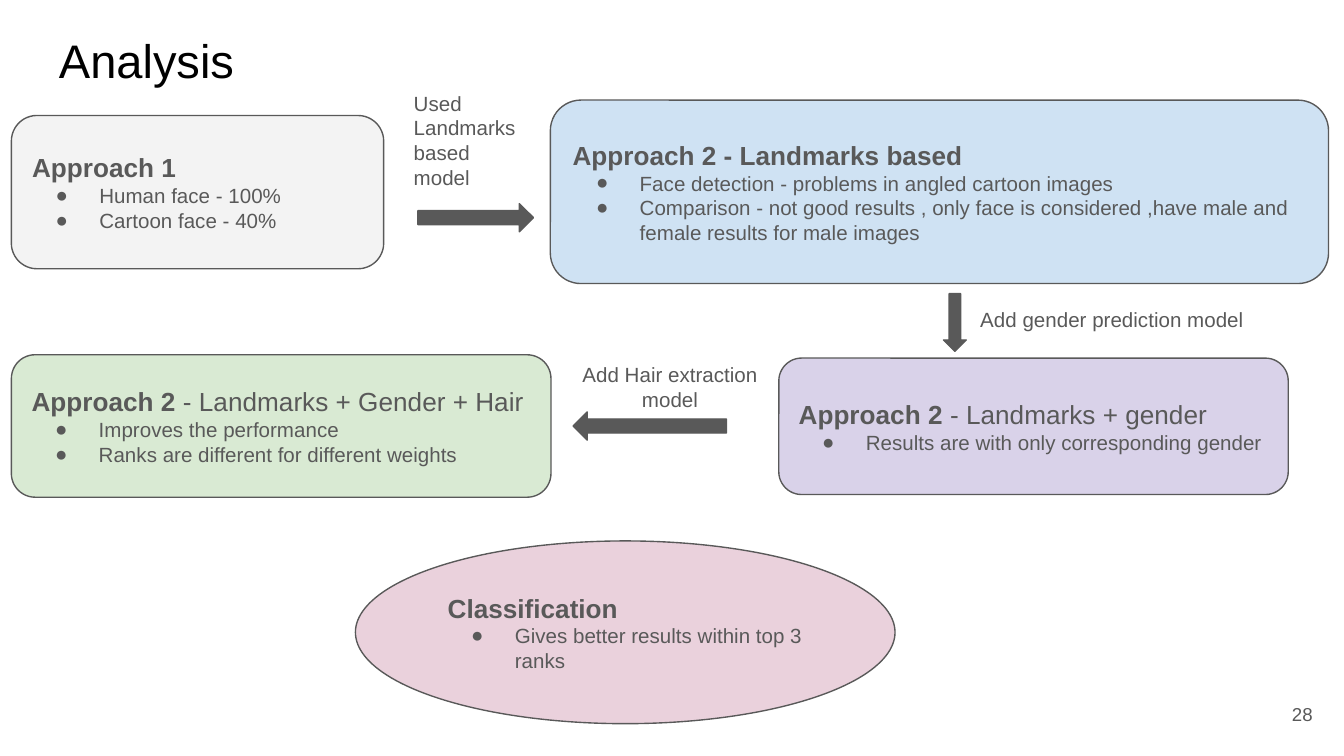
from pptx import Presentation
from pptx.dml.color import RGBColor
from pptx.enum import shapes, text
from pptx.oxml import ns
from lxml import etree

PX = 4572
POINT = 12700
GREY = "595959"
SHAPE = shapes.MSO_SHAPE
ALIGN = text.PP_ALIGN
ANCHOR = text.MSO_ANCHOR


def color(value):
    return RGBColor.from_string(value)


def px(*lengths):
    return [length * PX for length in lengths]


def add_text(paragraph, content, size=11, bold=False, fill=GREY):
    run = paragraph.add_run()
    run.text = content
    run.font.size = round(size * POINT)
    run.font.name = "Arial"
    run.font.bold = bold
    run.font.color.rgb = color(fill)


def prepare_frame(shape, anchor):
    frame = shape.text_frame
    frame.word_wrap = True
    frame.vertical_anchor = anchor
    frame.margin_left = frame.margin_top = 20 * PX
    frame.margin_right = frame.margin_bottom = 20 * PX
    return frame


def add_label(slide, content, box, align=ALIGN.LEFT, anchor=ANCHOR.TOP, **style):
    label = slide.shapes.add_textbox(*px(*box))
    paragraph = prepare_frame(label, anchor).paragraphs[0]
    paragraph.alignment = align
    add_text(paragraph, content, **style)


def add_figure(slide, kind, box, fill):
    figure = slide.shapes.add_shape(kind, *px(*box))
    figure.shadow.inherit = False
    figure.fill.solid()
    figure.fill.fore_color.rgb = color(fill)
    figure.line.color.rgb = color(GREY)
    figure.line.width = round(0.75 * POINT)
    return figure


def set_bullet(paragraph):
    properties = paragraph._p.get_or_add_pPr()
    properties.set("marL", str(100 * PX))
    properties.set("indent", str(-65 * PX))
    bullet_color = etree.SubElement(properties, ns.qn("a:buClr"))
    etree.SubElement(bullet_color, ns.qn("a:srgbClr"), val=GREY)
    etree.SubElement(properties, ns.qn("a:buFont"), typeface="Arial")
    etree.SubElement(properties, ns.qn("a:buChar"), char="●")


def add_card(slide, kind, box, fill, heading, detail, findings):
    card = add_figure(slide, kind, box, fill)
    frame = prepare_frame(card, ANCHOR.MIDDLE)
    title = frame.paragraphs[0]
    title.alignment = ALIGN.LEFT
    add_text(title, heading, size=14, bold=True)
    if detail:
        add_text(title, detail, size=14)
    for finding in findings:
        paragraph = frame.add_paragraph()
        paragraph.alignment = ALIGN.LEFT
        set_bullet(paragraph)
        add_text(paragraph, finding)


def main():
    deck = Presentation()
    deck.slide_width, deck.slide_height = px(2000, 1125)
    slide = deck.slides.add_slide(deck.slide_layouts[6])

    add_label(slide, "Analysis", (68, 27, 1864, 126), size=25.2, fill="000000")
    add_label(slide, "28", (1853, 1020, 120, 86), align=ALIGN.RIGHT,
              anchor=ANCHOR.MIDDLE, size=10)

    cards = [
        (SHAPE.FLOWCHART_ALTERNATE_PROCESS, (17, 172, 554, 228), "F3F3F3",
         "Approach 1", "",
         ["Human face - 100%", "Cartoon face - 40%"]),
        (SHAPE.ROUNDED_RECTANGLE, (819, 149, 1158, 273), "CFE2F3",
         "Approach 2 - Landmarks based", "",
         ["Face detection - problems in angled cartoon images",
          "Comparison - not good results , only face is considered ,"
          "have male and female results for male images"]),
        (SHAPE.ROUNDED_RECTANGLE, (1159, 533, 758, 203), "D9D2E9",
         "Approach 2 ", "- Landmarks + gender",
         ["Results are with only corresponding gender"]),
        (SHAPE.ROUNDED_RECTANGLE, (17, 528, 803, 212), "D9EAD3",
         "Approach 2", " - Landmarks + Gender + Hair",
         ["Improves the performance",
          "Ranks are different for different weights"]),
        (SHAPE.OVAL, (529, 805, 803, 272), "EAD1DC",
         "Classification", "",
         ["Gives better results within top 3 ranks"]),
    ]
    for card in cards:
        add_card(slide, *card)

    steps = [
        (SHAPE.RIGHT_ARROW, (622, 303, 172, 42),
         "Used Landmarks based model", (596, 115, 198, 188), ALIGN.LEFT),
        (SHAPE.DOWN_ARROW, (1404, 437, 34, 86),
         "Add gender prediction model", (1439, 438, 438, 78), ALIGN.LEFT),
        (SHAPE.LEFT_ARROW, (853, 613, 228, 42),
         "Add Hair extraction model", (835, 519, 324, 114), ALIGN.CENTER),
    ]
    for arrow, arrow_box, change, change_box, align in steps:
        add_figure(slide, arrow, arrow_box, GREY)
        add_label(slide, change, change_box, align=align)

    deck.save("out.pptx")


if __name__ == "__main__":
    main()
